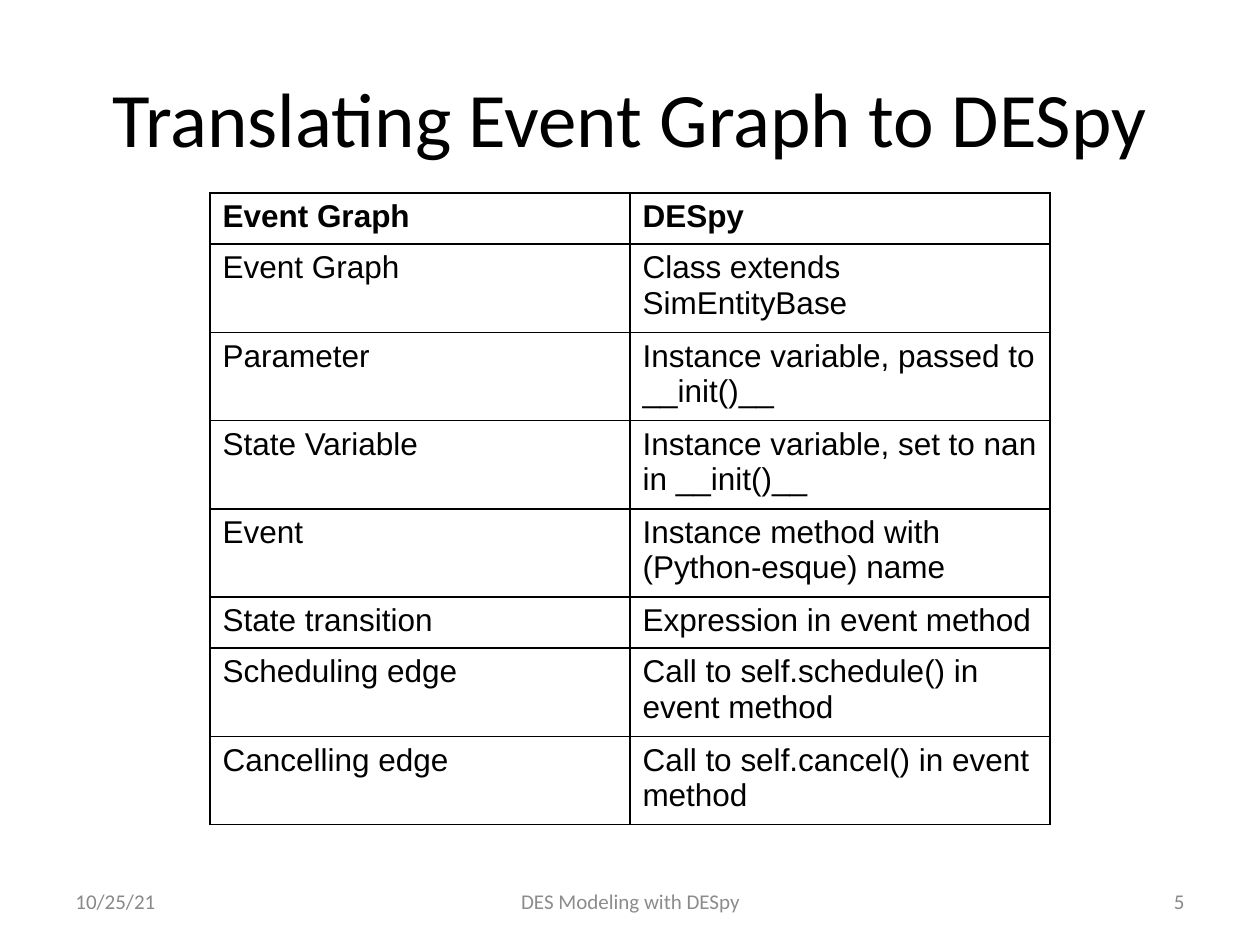
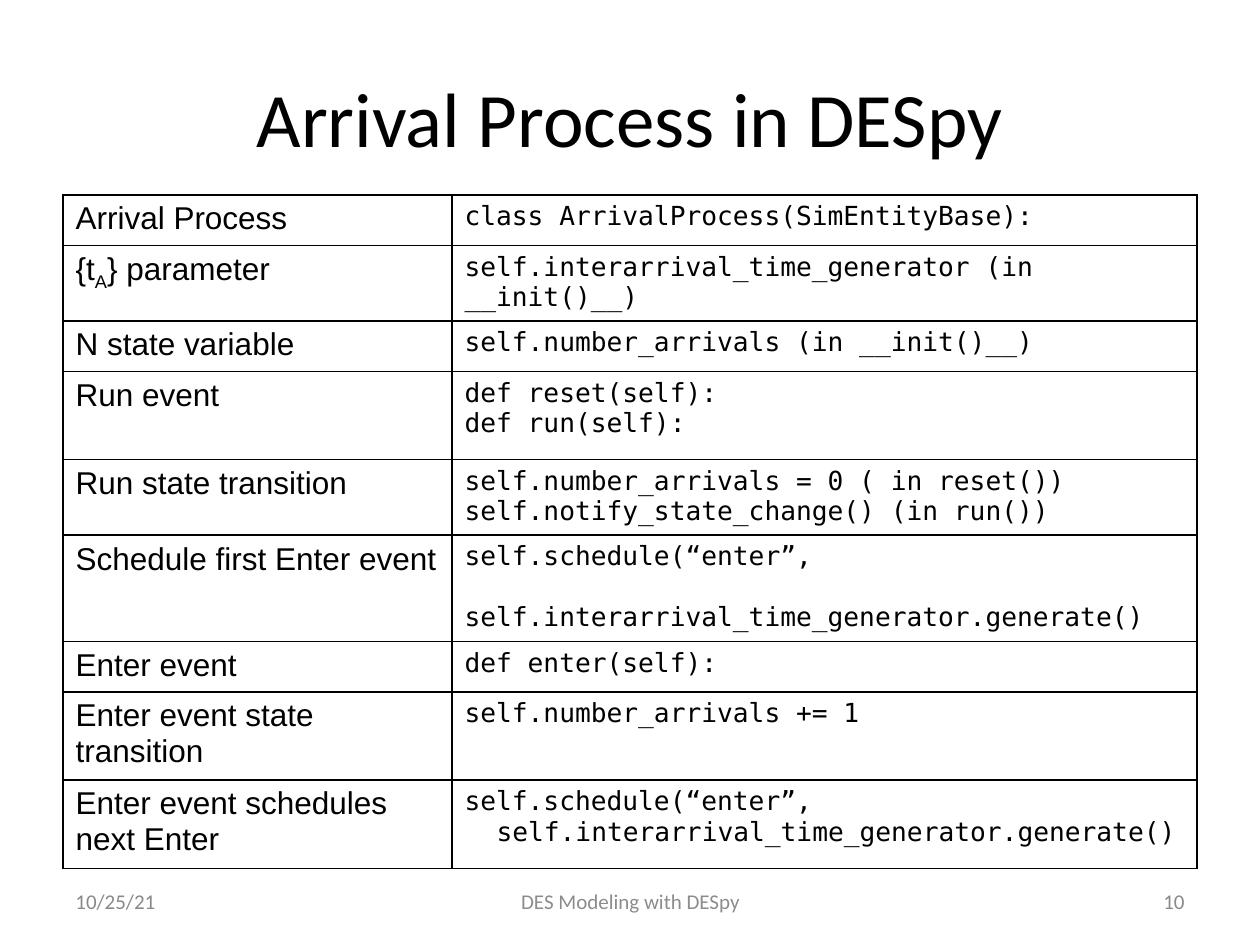
from dataclasses import dataclass

from lxml import etree
from pptx import Presentation
from pptx import util as u
from pptx.dml.color import RGBColor
from pptx.enum import text
from pptx.oxml.ns import qn

SCALE = 914400 / 126  # EMU in one px
COLORS = {"ink": "000000", "side": "898989", "middle": "8C8C8C"}
LEFT, CENTER, RIGHT = text.PP_ALIGN.LEFT, text.PP_ALIGN.CENTER, text.PP_ALIGN.RIGHT


def px(n: int) -> int:
    return round(n * SCALE)


@dataclass(frozen=True)
class Style:
    font: str
    size: int
    color: str = "ink"
    bold: bool = False


@dataclass(frozen=True)
class Label:
    box: tuple[int, int, int, int]
    style: Style
    align: text.PP_ALIGN


@dataclass(frozen=True)
class Line:
    text: str
    indent: int = 0  # px
    before: float = 0  # points


@dataclass(frozen=True)
class Row:
    concept: str
    code: tuple[Line, ...]
    height: int
    subscript: str = ""  # letter set low where "|" stands in concept


@dataclass(frozen=True)
class Grid:
    box: tuple[int, int, int, int]
    cols: tuple[int, int]
    code_style: Style
    rows: list[Row]
    header: bool = False


@dataclass(frozen=True)
class Page:
    title: str
    number: str
    grid: Grid


# Shared styles and places
BODY = Style("Arial", 18)
HEAD = Style("Arial", 18, bold=True)
CODE = Style("DejaVu Sans Mono", 15)
TITLE = Label((63, 38, 1134, 158), Style("Calibri", 44), CENTER)
DATE = Label((63, 876, 294, 50), Style("Calibri", 12, "side"), LEFT)
FOOTER = Label((431, 876, 399, 50), Style("Calibri", 12, "middle"), CENTER)
NUMBER = Label((903, 876, 294, 50), Style("Calibri", 12, "side"), RIGHT)


def row(concept: str, *code: str | Line, height: int = 50, subscript: str = "") -> Row:
    lines = tuple(c if isinstance(c, Line) else Line(c) for c in code)
    return Row(concept, lines, height, subscript)


TRANSLATION = [row(a, b, height=51) for a, b in (
    ("Event Graph", "DESpy"),
    ("Event Graph", "Class extends SimEntityBase"),
    ("Parameter", "Instance variable, passed to __init()__"),
    ("State Variable", "Instance variable, set to nan in __init()__"),
    ("Event", "Instance method with (Python-esque) name"),
    ("State transition", "Expression in event method"),
    ("Scheduling edge", "Call to self.schedule() in event method"),
    ("Cancelling edge", "Call to self.cancel() in event method"),
)]

GENERATE = "self.interarrival_time_generator.generate()"
ARRIVAL = [
    row("Arrival Process", "class ArrivalProcess(SimEntityBase):"),
    row("{t|} parameter", "self.interarrival_time_generator (in __init()__)",
        height=57, subscript="A"),
    row("N state variable", "self.number_arrivals (in __init()__)"),
    row("Run event", "def reset(self):", "def run(self):", height=88),
    row("Run state transition", "self.number_arrivals = 0 ( in reset())",
        "self.notify_state_change() (in run())"),
    row("Schedule first Enter event", "self.schedule(“enter”,",
        Line(GENERATE, before=17.5), height=59),
    row("Enter event", "def enter(self):"),
    row("Enter event state transition", "self.number_arrivals += 1"),
    row("Enter event schedules next Enter", "self.schedule(“enter”,",
        Line(GENERATE, indent=32)),
]

PAGES = [
    Page("Translating Event Graph to DESpy", "5",
         Grid((210, 193, 840, 595), (420, 420), BODY, TRANSLATION, header=True)),
    Page("Arrival Process in DESpy", "10",
         Grid((63, 195, 1134, 638), (389, 745), CODE, ARRIVAL)),
]


def format_runs(p, style: Style) -> None:
    for r in p.runs:
        r.font.name = style.font
        r.font.size = u.Pt(style.size)
        r.font.bold = style.bold
        r.font.color.rgb = RGBColor.from_string(COLORS[style.color])


def add_label(s, label: Label, words: str) -> None:
    tf = s.shapes.add_textbox(*map(px, label.box)).text_frame
    tf.word_wrap = True
    tf.vertical_anchor = text.MSO_ANCHOR.MIDDLE
    p = tf.paragraphs[0]
    p.text = words
    p.alignment = label.align
    format_runs(p, label.style)


def set_borders(cell) -> None:
    tc_pr = cell._tc.get_or_add_tcPr()
    for side in ("lnL", "lnR", "lnT", "lnB"):
        ln = etree.SubElement(tc_pr, qn(f"a:{side}"), w=str(u.Pt(1)))
        fill = etree.SubElement(ln, qn("a:solidFill"))
        etree.SubElement(fill, qn("a:srgbClr"), val=COLORS["ink"])


def fill_concept(cell, item: Row, style: Style) -> None:
    p = cell.text_frame.paragraphs[0]
    start, _, rest = item.concept.partition("|")
    p.text = start
    if item.subscript:
        low = p.add_run()
        low.text = item.subscript
        low._r.get_or_add_rPr().set("baseline", "-25000")
        p.add_run().text = rest
    format_runs(p, style)


def fill_code(cell, item: Row, style: Style) -> None:
    tf = cell.text_frame
    tf.text = "\n".join(line.text for line in item.code)
    for p, line in zip(tf.paragraphs, item.code):
        format_runs(p, style)
        if line.before:
            p.space_before = u.Pt(line.before)
        if line.indent:
            p._p.get_or_add_pPr().set("marL", str(px(line.indent)))


def add_grid(s, grid: Grid) -> None:
    frame = s.shapes.add_table(len(grid.rows), len(grid.cols), *map(px, grid.box))
    table = frame.table
    table.first_row = table.horz_banding = False
    for col, width in zip(table.columns, grid.cols):
        col.width = px(width)
    for i, item in enumerate(grid.rows):
        table.rows[i].height = px(item.height)
        is_head = grid.header and i == 0
        fill_concept(table.cell(i, 0), item, HEAD if is_head else BODY)
        fill_code(table.cell(i, 1), item, HEAD if is_head else grid.code_style)
        for cell in table.rows[i].cells:
            set_borders(cell)
            cell.fill.background()
    frame.height = px(grid.box[3])


def main() -> None:
    prs = Presentation()
    prs.slide_width, prs.slide_height = px(1260), px(945)
    for page in PAGES:
        s = prs.slides.add_slide(prs.slide_layouts[6])
        add_label(s, TITLE, page.title)
        add_label(s, DATE, "10/25/21")
        add_label(s, FOOTER, "DES Modeling with DESpy")
        add_label(s, NUMBER, page.number)
        add_grid(s, page.grid)
    prs.save("out.pptx")


if __name__ == "__main__":
    main()
